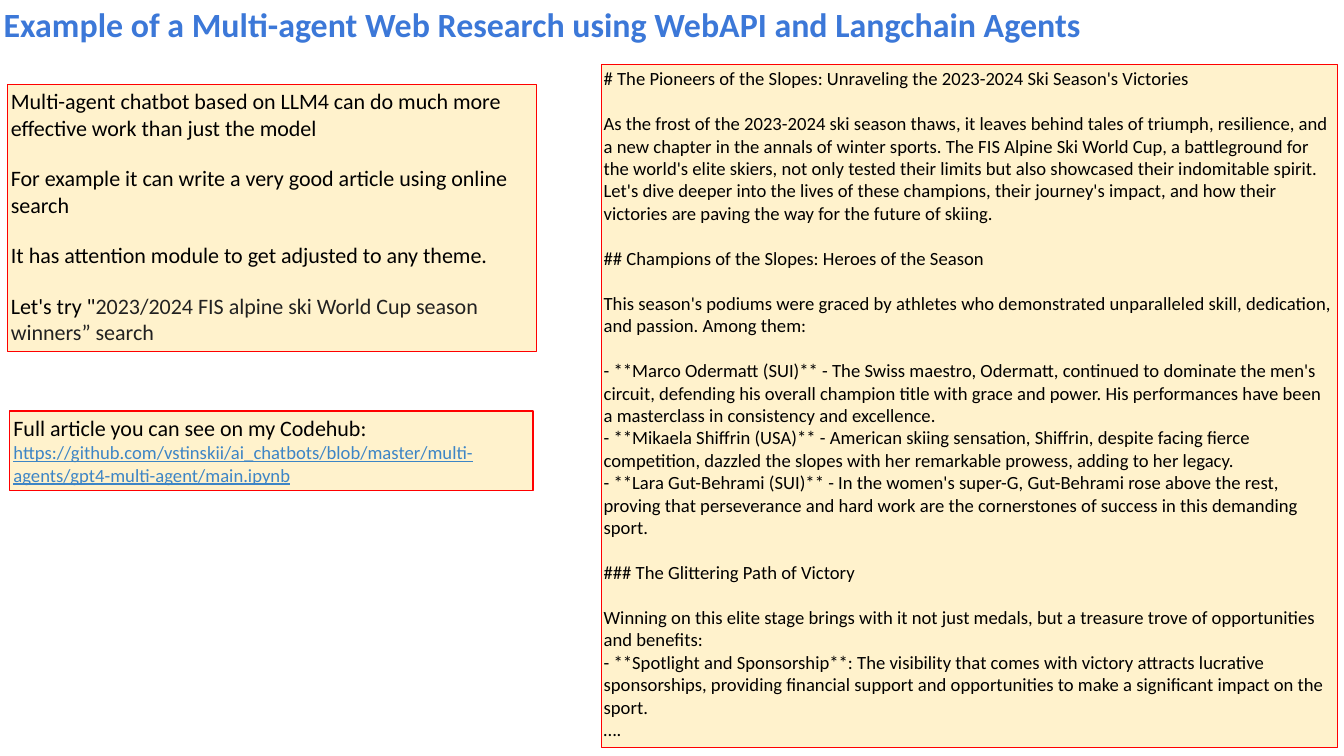
from pptx import Presentation
from pptx.dml.color import RGBColor
from pptx.enum.shapes import MSO_SHAPE
from pptx.enum.text import MSO_ANCHOR, MSO_AUTO_SIZE, PP_ALIGN
from pptx.util import Inches, Pt

RECTANGLE = MSO_SHAPE.RECTANGLE
TOP, MIDDLE = MSO_ANCHOR.TOP, MSO_ANCHOR.MIDDLE
GROW = MSO_AUTO_SIZE.SHAPE_TO_FIT_TEXT
LEFT = PP_ALIGN.LEFT

BLACK = RGBColor(0x00, 0x00, 0x00)
DARK_GREY = RGBColor(0x21, 0x21, 0x21)
RED = RGBColor(0xFF, 0x00, 0x00)
CREAM = RGBColor(0xFF, 0xF2, 0xCC)
TITLE_BLUE = RGBColor(0x3C, 0x78, 0xD8)
LINK_BLUE = RGBColor(0x3D, 0x85, 0xC6)

BODY = {"size": Pt(13)}
QUERY = {"size": Pt(13), "color": DARK_GREY}
ARTICLE = {"size": Pt(11)}
LINK = {"size": Pt(11), "color": LINK_BLUE, "underline": True}
TITLE = {"size": Pt(20), "color": TITLE_BLUE, "bold": True}


def set_frame(box, inset, anchor):
    frame = box.text_frame
    frame.word_wrap = True
    frame.auto_size = GROW
    frame.vertical_anchor = anchor
    for side in ("left", "top", "right", "bottom"):
        setattr(frame, "margin_" + side, Inches(inset))
    return frame


def add_span(para, text, style):
    span = para.add_run()
    span.text = text
    span.font.name = "Calibri"
    span.font.color.rgb = style.get("color", BLACK)
    for name, value in style.items():
        if name != "color":
            setattr(span.font, name, value)


deck = Presentation()
deck.slide_width, deck.slide_height = Inches(11.02), Inches(6.2)
slide = deck.slides.add_slide(deck.slide_layouts[6])

# Title
title_box = slide.shapes.add_textbox(Inches(0), Inches(0), Inches(9.76), Inches(0.4))
title_frame = set_frame(title_box, 0.03, MIDDLE)
add_span(title_frame.paragraphs[0],
         "Example of a Multi-agent Web Research using WebAPI and Langchain Agents", TITLE)

# Panel texts: each paragraph is its space before in points and its spans
intro = [
    (0, [("Multi-agent chatbot based on LLM4 can do much more effective work "
          "than just the model", BODY)]),
    (14.2, [("For example it can write a very good article using online search", BODY)]),
    (14.2, [("It has attention module to get adjusted to any theme.", BODY)]),
    (14.2, [("Let's try \"", BODY),
            ("2023/2024 FIS alpine ski World Cup season winners” search", QUERY)]),
]

article_sections = [
    ["# The Pioneers of the Slopes: Unraveling the 2023-2024 Ski Season's Victories"],
    ["As the frost of the 2023-2024 ski season thaws, it leaves behind tales of triumph, "
     "resilience, and a new chapter in the annals of winter sports. The FIS Alpine Ski "
     "World Cup, a battleground for the world's elite skiers, not only tested their limits "
     "but also showcased their indomitable spirit. Let's dive deeper into the lives of these "
     "champions, their journey's impact, and how their victories are paving the way for the "
     "future of skiing."],
    ["## Champions of the Slopes: Heroes of the Season"],
    ["This season's podiums were graced by athletes who demonstrated unparalleled skill, "
     "dedication, and passion. Among them:"],
    ["- **Marco Odermatt (SUI)** - The Swiss maestro, Odermatt, continued to dominate the "
     "men's circuit, defending his overall champion title with grace and power. His "
     "performances have been a masterclass in consistency and excellence.",
     "- **Mikaela Shiffrin (USA)** - American skiing sensation, Shiffrin, despite facing "
     "fierce competition, dazzled the slopes with her remarkable prowess, adding to her legacy.",
     "- **Lara Gut-Behrami (SUI)** - In the women's super-G, Gut-Behrami rose above the rest, "
     "proving that perseverance and hard work are the cornerstones of success in this "
     "demanding sport."],
    ["### The Glittering Path of Victory"],
    ["Winning on this elite stage brings with it not just medals, but a treasure trove of "
     "opportunities and benefits:",
     "- **Spotlight and Sponsorship**: The visibility that comes with victory attracts "
     "lucrative sponsorships, providing financial support and opportunities to make a "
     "significant impact on the sport.",
     "…."],
]
article = [
    (13.4 if section_index and not line_index else 0, [(line, ARTICLE)])
    for section_index, section in enumerate(article_sections)
    for line_index, line in enumerate(section)
]

source_link = [
    (0, [("Full article you can see on my Codehub:", BODY),
         None,  # line break
         ("https://github.com/vstinskii/ai_chatbots/blob/master/"
          "multi-agents/gpt4-multi-agent/main.ipynb", LINK)]),
]

# Cream panels
panels = [
    ((0.06, 0.69, 4.34, 2.19), 0.03, intro),
    ((4.93, 0.53, 6.04, 5.6), 0.02, article),
    ((0.08, 3.37, 4.29, 0.65), 0.03, source_link),
]
for position, inset, paragraphs in panels:
    panel = slide.shapes.add_shape(RECTANGLE, *[Inches(length) for length in position])
    panel.shadow.inherit = False
    panel.fill.solid()
    panel.fill.fore_color.rgb = CREAM
    panel.line.color.rgb = RED
    panel.line.width = Pt(0.75)
    frame = set_frame(panel, inset, TOP)
    for index, (space_before, spans) in enumerate(paragraphs):
        para = frame.add_paragraph() if index else frame.paragraphs[0]
        para.alignment = LEFT
        para.space_before = Pt(space_before)
        for span in spans:
            if span is None:
                para.add_line_break()
            else:
                add_span(para, *span)

deck.save("out.pptx")
